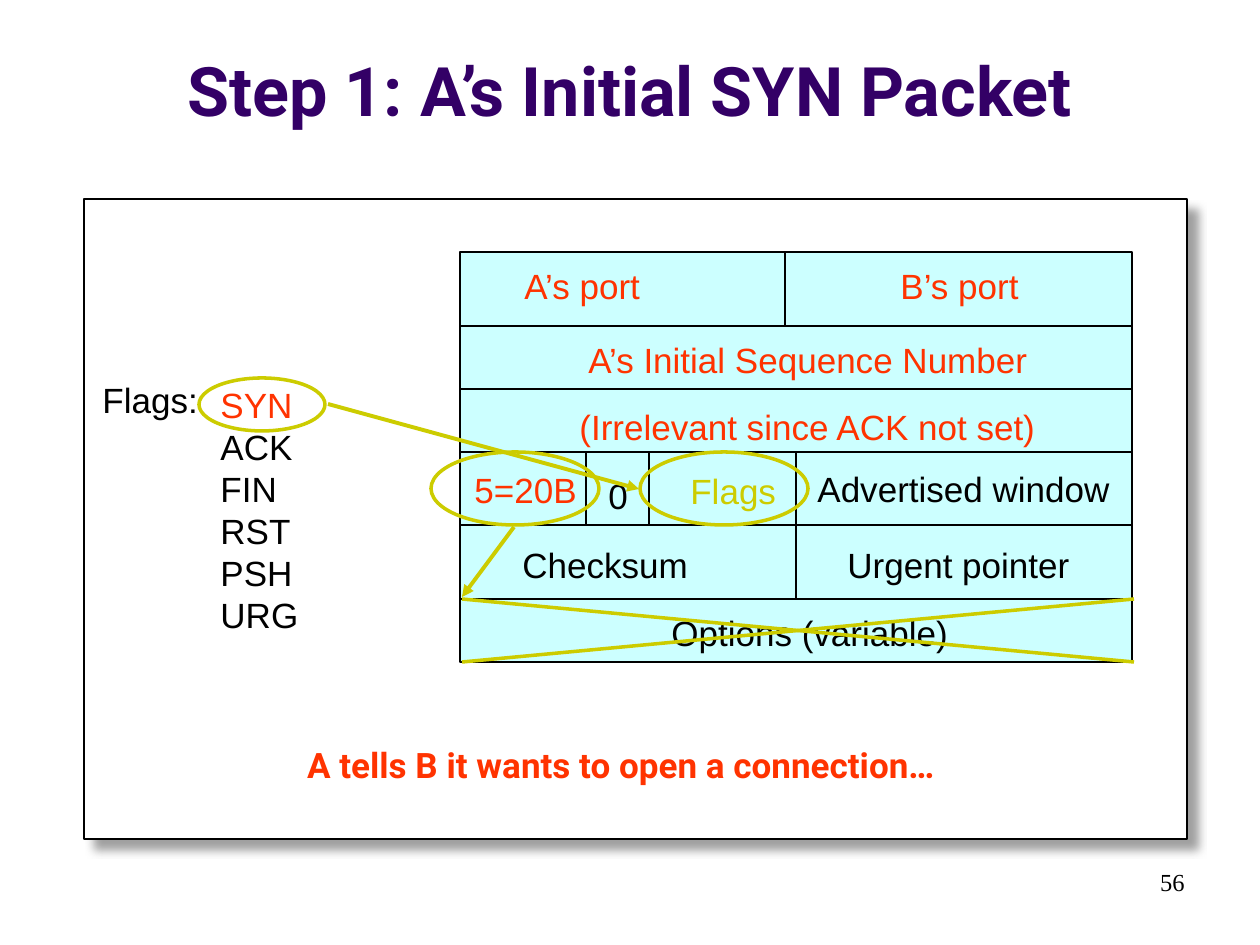
import dataclasses
import itertools
import typing

import lxml.etree
import pptx
import pptx.dml.color
import pptx.enum.shapes
import pptx.enum.text
import pptx.oxml
import pptx.oxml.ns
import pptx.util

EMU_PER_PX = 914400 / 126
SHAPES = pptx.enum.shapes.MSO_SHAPE
ALIGN = pptx.enum.text.PP_ALIGN
ANCHOR = pptx.enum.text.MSO_ANCHOR
FIT = pptx.enum.text.MSO_AUTO_SIZE


@dataclasses.dataclass(frozen=True)
class Theme:
    white: str = "FFFFFF"
    black: str = "000000"
    purple: str = "330066"
    cyan: str = "CCFFFF"
    red: str = "FF3300"
    olive: str = "CCCC00"
    shadow: str = "808080"
    sans: str = "Arial"
    display: str = "Roboto"
    serif: str = "Times New Roman"
    title_size: int = 39
    body_size: int = 20
    number_size: int = 14
    body_leading: int = 24
    thin: float = 0.75
    medium: float = 2
    thick: float = 2.25


THEME = Theme()


class Box(typing.NamedTuple):
    left: int
    top: int
    width: int
    height: int


class Label(typing.NamedTuple):
    text: str
    left: int
    top: int
    width: int
    color: str = THEME.black
    fill: typing.Optional[str] = THEME.cyan


class HeaderRow(typing.NamedTuple):
    height: int
    edges: tuple[int, ...]
    labels: tuple[Label, ...]


class Stroke(typing.NamedTuple):
    start: tuple[int, int]
    end: tuple[int, int]
    color: str = THEME.olive
    weight: float = THEME.medium
    arrow: bool = False


def px(length: int) -> int:
    return round(length * EMU_PER_PX)


def rgb(color: str) -> pptx.dml.color.RGBColor:
    return pptx.dml.color.RGBColor.from_string(color)


def add_outline(slide, kind, box: Box, fill: typing.Optional[str],
                line: str, weight: float):
    shape = slide.shapes.add_shape(kind, *map(px, box))
    shape.shadow.inherit = False
    if fill:
        shape.fill.solid()
        shape.fill.fore_color.rgb = rgb(fill)
    else:
        shape.fill.background()
    shape.line.color.rgb = rgb(line)
    shape.line.width = pptx.util.Pt(weight)
    return shape


def add_text(slide, text: str, box: Box, *, color: str = THEME.black,
             size: int = THEME.body_size, font: str = THEME.sans,
             bold: bool = False, align=ALIGN.LEFT, anchor=ANCHOR.TOP,
             fill: typing.Optional[str] = None, wrap: bool = False,
             leading: typing.Optional[int] = None):
    holder = slide.shapes.add_textbox(*map(px, box))
    if fill:
        holder.fill.solid()
        holder.fill.fore_color.rgb = rgb(fill)
    frame = holder.text_frame
    frame.word_wrap = wrap
    frame.auto_size = FIT.NONE if wrap else FIT.SHAPE_TO_FIT_TEXT
    frame.vertical_anchor = anchor
    frame.text = text
    for paragraph in frame.paragraphs:
        paragraph.alignment = align
        if leading:
            paragraph.line_spacing = pptx.util.Pt(leading)
        paragraph.font.size = pptx.util.Pt(size)
        paragraph.font.name = font
        paragraph.font.bold = bold
        paragraph.font.color.rgb = rgb(color)
    return frame


def add_label(slide, label: Label) -> None:
    add_text(slide, label.text, Box(label.left, label.top, label.width, 54),
             color=label.color, fill=label.fill, leading=THEME.body_leading)


def add_stroke(slide, stroke: Stroke) -> None:
    connector = slide.shapes.add_connector(
        pptx.enum.shapes.MSO_CONNECTOR.STRAIGHT,
        *map(px, stroke.start + stroke.end))
    connector.line.color.rgb = rgb(stroke.color)
    connector.line.width = pptx.util.Pt(stroke.weight)
    qn = pptx.oxml.ns.qn
    if stroke.arrow:
        line = connector.line._get_or_add_ln()
        lxml.etree.SubElement(line, qn("a:tailEnd"), type="triangle")
    lxml.etree.SubElement(connector._element.spPr, qn("a:effectLst"))


def add_drop_shadow(shape) -> None:
    qn = pptx.oxml.ns.qn
    effects = shape._element.spPr.find(qn("a:effectLst"))
    shadow = lxml.etree.SubElement(
        effects, qn("a:outerShdw"), blurRad=str(pptx.util.Pt(5)),
        dist=str(pptx.util.Pt(8.5)), dir="2700000", algn="tl", rotWithShape="0")
    tone = lxml.etree.SubElement(shadow, qn("a:srgbClr"), val=THEME.shadow)
    lxml.etree.SubElement(tone, qn("a:alpha"), val="75000")


# Packet header, row by row
HEADER_TOP, LEFT, MIDDLE, RIGHT = 252, 460, 796, 1132
HEADER = (
    HeaderRow(74, (LEFT, 785, RIGHT), (
        Label("A’s port", 512, 258, 144, THEME.red),
        Label("B’s port", 888, 258, 144, THEME.red))),
    HeaderRow(63, (LEFT, RIGHT), (
        Label("A’s Initial Sequence Number", 576, 332, 467, THEME.red),)),
    HeaderRow(63, (LEFT, RIGHT), (
        Label("(Irrelevant since ACK not set)", 567, 399, 483, THEME.red),)),
    HeaderRow(73, (LEFT, MIDDLE, RIGHT), (
        Label("Advertised window", 805, 461, 320),
        Label("5=20B", 462, 462, 147, THEME.red, None),
        Label("Flags", 678, 463, 112, THEME.olive),
        Label("0", 596, 468, 46))),
    HeaderRow(74, (LEFT, MIDDLE, RIGHT), (
        Label("Checksum", 510, 537, 196),
        Label("Urgent pointer", 835, 537, 250))),
    HeaderRow(63, (LEFT, RIGHT), (
        Label("Options (variable)", 659, 605, 306),)),
)
DIVIDERS = [Stroke((x, 452), (x, 525), THEME.black, THEME.thin)
            for x in (586, 649)]

# Highlights: ringed fields, arrows and the crossed-out options
RINGS = (Box(640, 452, 168, 73), Box(199, 378, 126, 53), Box(431, 452, 168, 73))
MARKS = (
    Stroke((328, 404), (639, 489), weight=THEME.thick, arrow=True),
    Stroke((462, 599), (1134, 662)),
    Stroke((462, 662), (1134, 599)),
    Stroke((514, 527), (462, 597), weight=THEME.thick, arrow=True),
)


def draw_header(slide) -> None:
    top = HEADER_TOP
    for row in HEADER:
        for left, right in itertools.pairwise(row.edges):
            add_outline(slide, SHAPES.RECTANGLE,
                        Box(left, top, right - left, row.height),
                        THEME.cyan, THEME.black, THEME.thin)
        for label in row.labels:
            add_label(slide, label)
        top += row.height
    for divider in DIVIDERS:
        add_stroke(slide, divider)


def main() -> None:
    deck = pptx.Presentation()
    deck.slide_width, deck.slide_height = px(1260), px(945)
    slide = deck.slides.add_slide(deck.slide_layouts[6])

    # Title, slide number and panel
    add_text(slide, "Step 1: A’s Initial SYN Packet", Box(0, 16, 1260, 120),
             color=THEME.purple, size=THEME.title_size, font=THEME.display,
             bold=True, align=ALIGN.CENTER, anchor=ANCHOR.BOTTOM, wrap=True)
    add_text(slide, "56", Box(903, 861, 294, 63), size=THEME.number_size,
             font=THEME.serif, align=ALIGN.RIGHT, wrap=True)
    panel = add_outline(slide, SHAPES.RECTANGLE, Box(84, 199, 1103, 640),
                        THEME.white, THEME.black, THEME.thin)
    add_drop_shadow(panel)

    draw_header(slide)

    # Flag list and closing remark
    add_label(slide, Label("Flags:", 90, 372, 121, fill=None))
    flags = add_text(slide, "SYN\nACK\nFIN\nRST\nPSH\nURG",
                     Box(208, 377, 104, 265), leading=THEME.body_leading)
    flags.paragraphs[0].runs[0].font.color.rgb = rgb(THEME.red)
    add_text(slide, "A tells B it wants to open a connection…",
             Box(270, 737, 702, 54), color=THEME.red, font=THEME.display,
             bold=True, align=ALIGN.CENTER)

    for ring in RINGS:
        add_outline(slide, SHAPES.OVAL, ring, None, THEME.olive, THEME.medium)
    for mark in MARKS:
        add_stroke(slide, mark)

    deck.save("out.pptx")


if __name__ == "__main__":
    main()
